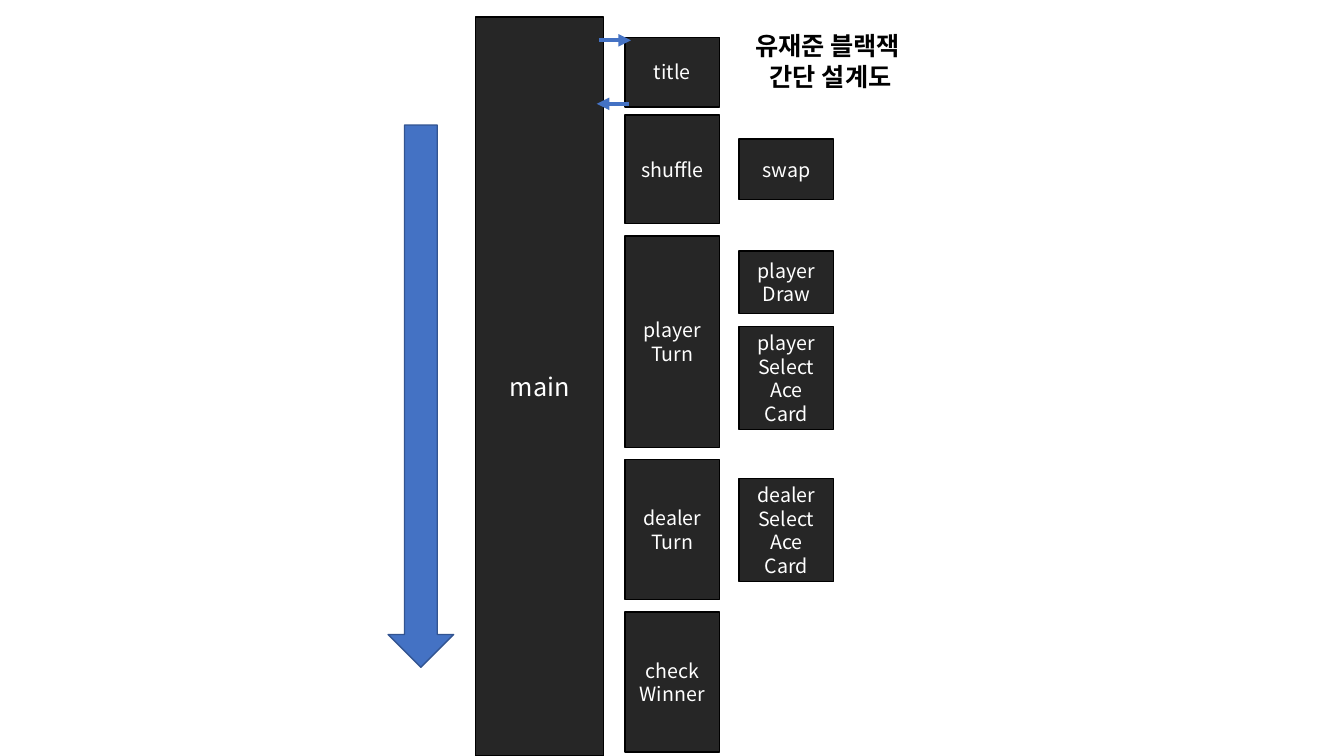
from lxml import etree
from pptx import Presentation
from pptx.dml.color import RGBColor
from pptx.enum.shapes import MSO_CONNECTOR, MSO_SHAPE
from pptx.enum.text import MSO_ANCHOR, MSO_AUTO_SIZE, PP_ALIGN
from pptx.oxml.ns import qn
from pptx.util import Inches, Pt

RECT, DOWN_ARROW = MSO_SHAPE.RECTANGLE, MSO_SHAPE.DOWN_ARROW
STRAIGHT = MSO_CONNECTOR.STRAIGHT
MIDDLE, TOP = MSO_ANCHOR.MIDDLE, MSO_ANCHOR.TOP
CENTER, GROW = PP_ALIGN.CENTER, MSO_AUTO_SIZE.SHAPE_TO_FIT_TEXT

FONT = "Noto Sans CJK KR"
DARK, BLACK, WHITE = "262626", "000000", "FFFFFF"
BLUE, NAVY = "4472C4", "325491"
COLS, ROWS = 133.33, 75

# Column of each call level: left and width in grid columns
MAIN, STEP, HELPER = (47.2, 12.7), (62, 9.4), (73.3, 9.4)

# Level, top row, rows tall, lines of the label
BOXES = [
    (MAIN, 1.7, 73.3, ["main"]),
    (STEP, 3.7, 6.9, ["title"]),
    (STEP, 11.4, 10.8, ["shuffle"]),
    (HELPER, 13.8, 6, ["swap"]),
    (STEP, 23.4, 21, ["player", "Turn"]),
    (HELPER, 24.9, 6.2, ["player", "Draw"]),
    (HELPER, 32.4, 10.2, ["player", "Select", "Ace", "Card"]),
    (STEP, 45.6, 13.9, ["dealer", "Turn"]),
    (HELPER, 47.5, 10.2, ["dealer", "Select", "Ace", "Card"]),
    (STEP, 60.7, 13.9, ["check", "Winner"]),
]
# Row, start column and end column of the call and the return
CALLS = [(4, 59.4, 62.6), (10.3, 62.4, 59.2)]


def rgb(color):
    """Turn a hex string into a colour."""
    return RGBColor.from_string(color)


class Diagram:
    """Holds the style and the current slide, and draws on its grid."""

    def __init__(self, prs):
        """Add a blank slide and measure its grid."""
        self.s = prs.slides.add_slide(prs.slide_layouts[6])
        self.col = prs.slide_width / COLS
        self.row = prs.slide_height / ROWS

    def place(self, x, y, w, h):
        """Convert grid columns and rows to slide lengths."""
        return (round(x * self.col), round(y * self.row),
                round(w * self.col), round(h * self.row))

    def label(self, tf, lines, size, leading, color, bold=False, anchor=MIDDLE):
        """Set centred lines, one paragraph each."""
        tf.word_wrap = True
        tf.vertical_anchor = anchor
        style = {"name": FONT, "size": Pt(size), "bold": bold}
        for i, line in enumerate(lines):
            p = tf.paragraphs[0] if i == 0 else tf.add_paragraph()
            p.alignment, p.line_spacing = CENTER, Pt(leading)
            r = p.add_run()
            r.text = line
            for name, value in style.items():
                setattr(r.font, name, value)
            r.font.color.rgb = rgb(color)
            etree.SubElement(r._r.rPr, qn("a:ea"), typeface=FONT)

    def shape(self, kind, at, fill, line):
        """Draw a filled and outlined preset shape."""
        sp = self.s.shapes.add_shape(kind, *self.place(*at))
        sp.shadow.inherit = False
        sp.fill.solid()
        sp.fill.fore_color.rgb = rgb(fill)
        sp.line.color.rgb = rgb(line)
        sp.line.width = Pt(1)
        return sp

    def box(self, level, top, height, lines):
        """Draw one function box in the column of its level."""
        left, width = level
        sp = self.shape(RECT, (left, top, width, height), DARK, BLACK)
        size, leading = (18, 22) if level == MAIN else (14, 16.8)
        self.label(sp.text_frame, lines, size, leading, WHITE)

    def arrow(self, row, start, end):
        """Draw a level arrow between two columns."""
        x1, y, x2, _ = self.place(start, row, end, 0)
        sp = self.s.shapes.add_connector(STRAIGHT, x1, y, x2, y)
        sp.line.color.rgb = rgb(BLUE)
        sp.line.width = Pt(3)
        props = sp.element.spPr
        etree.SubElement(props.find(qn("a:ln")), qn("a:tailEnd"), type="triangle")
        etree.SubElement(props, qn("a:effectLst"))

    def heading(self, at, lines):
        """Set the bold heading in a text box."""
        tf = self.s.shapes.add_textbox(*self.place(*at)).text_frame
        self.label(tf, lines, 18, 22, BLACK, bold=True, anchor=TOP)
        tf.auto_size = GROW


prs = Presentation()
prs.slide_width, prs.slide_height = Inches(13.33), Inches(7.5)
diagram = Diagram(prs)
for box in BOXES:
    diagram.box(*box)
diagram.shape(DOWN_ARROW, (38.5, 12.4, 6.5, 53.8), BLUE, NAVY)
for call in CALLS:
    diagram.arrow(*call)
diagram.heading((73.3, 2.5, 18.2, 7.1), ["유재준 블랙잭 ", "간단 설계도"])
prs.save("out.pptx")
